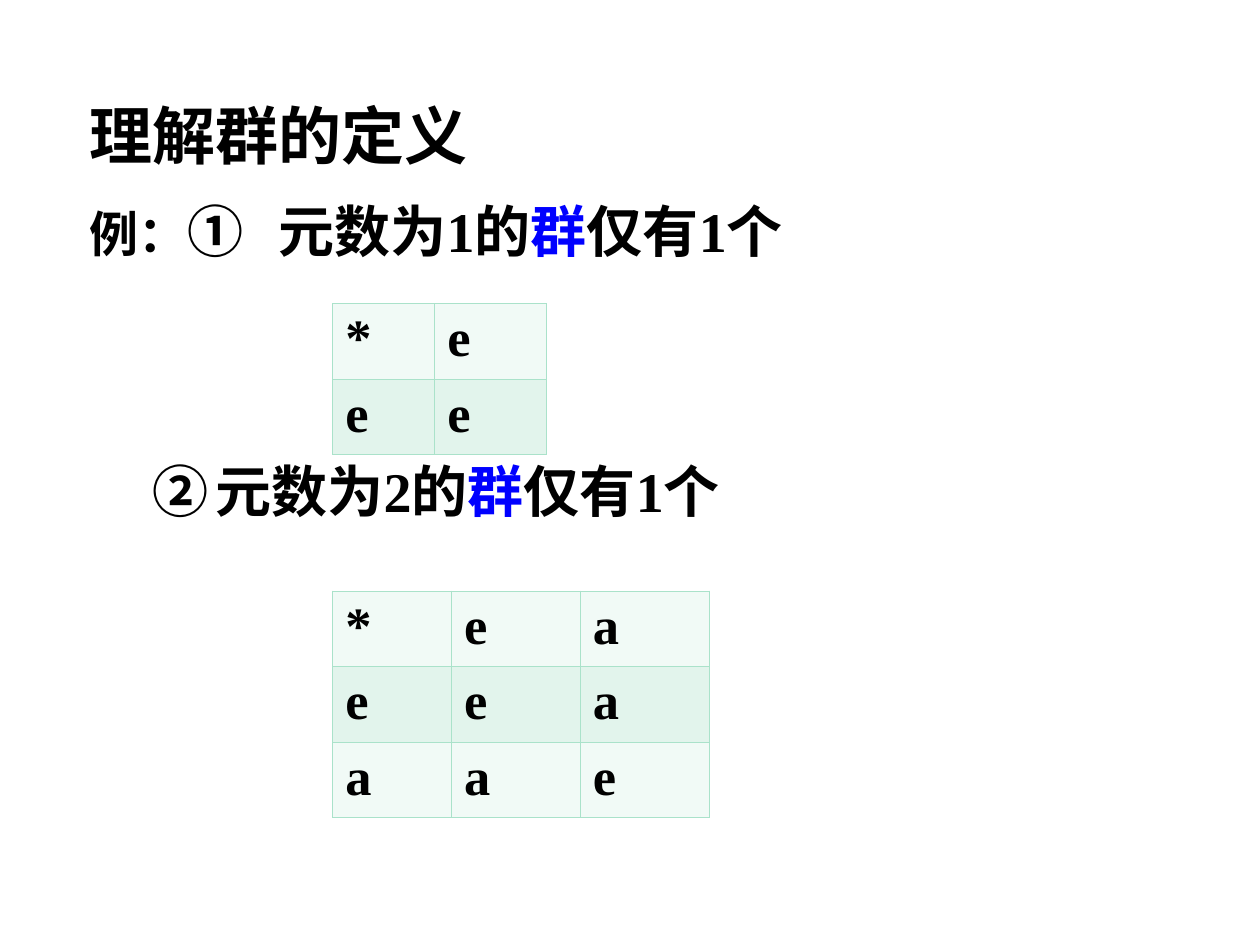
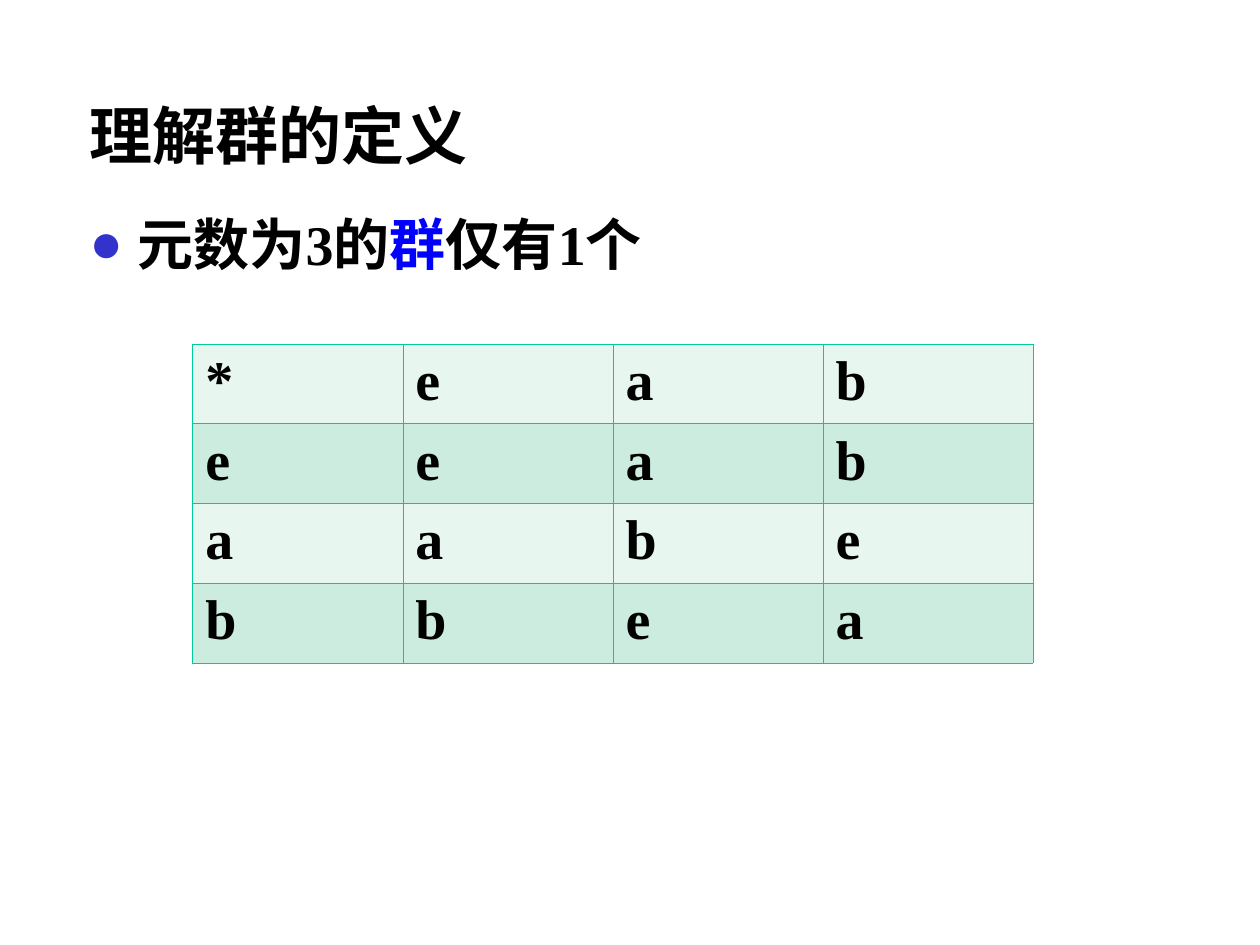
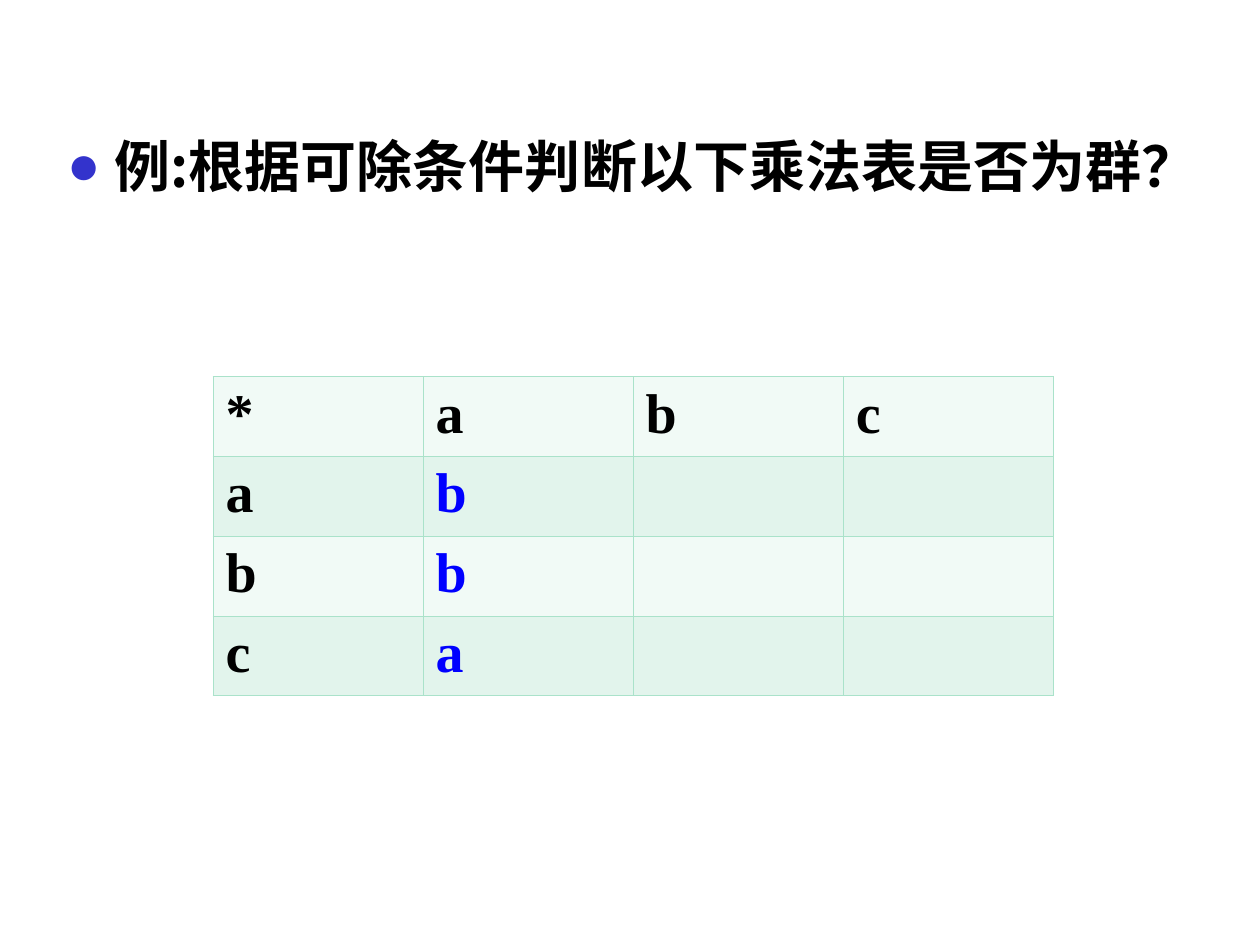
from dataclasses import dataclass

from lxml import etree
from pptx import Presentation
from pptx.dml.color import RGBColor
from pptx.enum.text import MSO_ANCHOR, MSO_AUTO_SIZE, PP_ALIGN
from pptx.oxml.ns import qn
from pptx.util import Emu, Inches, Pt

LEFT = PP_ALIGN.LEFT
TOP, MIDDLE = MSO_ANCHOR.TOP, MSO_ANCHOR.MIDDLE
NO_FIT = MSO_AUTO_SIZE.NONE
TITLE_AND_BODY = 1


@dataclass(frozen=True)
class Theme:
    latin: str = "Times New Roman"
    cjk: str = "Noto Sans CJK SC"
    ink: str = "000000"
    accent: str = "0000FF"
    bullet: str = "3333CC"
    pale: tuple = ("F1FAF6", "E2F4EC", "AAE2CA")
    strong: tuple = ("E7F6EF", "CBECDE", "00CC99")
    title_pt: int = 36
    body_pt: int = 32
    label_pt: int = 28
    small_cell_pt: int = 30
    border_pt: float = 0.45


THEME = Theme()

# Boxes are left, top, width, height in percent of the slide.
TITLE_BOX = (6.1, 7.73, 87.7, 12.93)
BODY_BOX = (6.1, 21.47, 90.8, 66.67)
WIDE_BODY_BOX = (4.3, 13.2, 94.5, 74.93)


def scaled(prs, box):
    sizes = (prs.slide_width, prs.slide_height) * 2
    return [Emu(round(size * share / 100)) for size, share in zip(sizes, box)]


def place(sp, prs, box):
    sp.left, sp.top, sp.width, sp.height = scaled(prs, box)


def add_run(p, text, size, color=THEME.ink, latin=THEME.latin):
    r = p.add_run()
    r.text = text
    r.font.size, r.font.bold, r.font.name = Pt(size), True, latin
    r.font.color.rgb = RGBColor.from_string(color)
    ea = etree.Element(qn("a:ea"), typeface=THEME.cjk)
    r.font._element.find(qn("a:latin")).addnext(ea)


def add_claim(p, lead):
    """Add a sentence in which the word for group is highlighted."""
    add_run(p, lead, THEME.body_pt)
    add_run(p, "群", THEME.body_pt, THEME.accent)
    add_run(p, "仅有1个", THEME.body_pt)


def set_indent(p, margin, first):
    pPr = p._p.get_or_add_pPr()
    pPr.set("marL", str(Inches(margin)))
    pPr.set("indent", str(Inches(first)))
    return pPr


def set_tabbed(p, *stops):
    pPr = set_indent(p, 0, 0)
    etree.SubElement(pPr, qn("a:buNone"))
    tabs = etree.SubElement(pPr, qn("a:tabLst"))
    for stop in stops:
        etree.SubElement(tabs, qn("a:tab"), pos=str(Inches(stop)), algn="l")
    p.line_spacing = 0.8


def set_bullet(p):
    pPr = set_indent(p, 0.38, -0.38)
    color = etree.SubElement(pPr, qn("a:buClr"))
    etree.SubElement(color, qn("a:srgbClr"), val=THEME.bullet)
    etree.SubElement(pPr, qn("a:buChar"), char="●")


def add_slide(prs, title=None, body_box=BODY_BOX):
    """Return a new slide and the text frame of its body."""
    slide = prs.slides.add_slide(prs.slide_layouts[TITLE_AND_BODY])
    sp = slide.shapes.title
    if title:
        place(sp, prs, TITLE_BOX)
        tf = sp.text_frame
        tf.auto_size, tf.vertical_anchor = NO_FIT, MIDDLE
        p = tf.paragraphs[0]
        p.alignment = LEFT
        add_run(p, title, THEME.title_pt, latin=THEME.cjk)
    else:
        sp._element.getparent().remove(sp._element)
    body = slide.placeholders[1]
    place(body, prs, body_box)
    tf = body.text_frame
    tf.auto_size, tf.vertical_anchor, tf.word_wrap = NO_FIT, TOP, True
    tf.paragraphs[0].space_before = Pt(0)
    return slide, tf


def set_borders(cell, color):
    tcPr = cell._tc.get_or_add_tcPr()
    for i, side in enumerate(("lnL", "lnR", "lnT", "lnB")):
        ln = etree.Element(qn(f"a:{side}"), w=str(Pt(THEME.border_pt)))
        fill = etree.SubElement(ln, qn("a:solidFill"))
        etree.SubElement(fill, qn("a:srgbClr"), val=color)
        tcPr.insert(i, ln)


def add_operation_table(prs, slide, box, rows, weights, palette=THEME.pale,
                        size=THEME.body_pt, products=THEME.ink):
    """Add a multiplication table; products colours the cells off the headings."""
    left, top, width, height = scaled(prs, box)
    frame = slide.shapes.add_table(len(rows), len(weights), left, top, width, height)
    table = frame.table
    for column, weight in zip(table.columns, weights):
        column.width = Emu(round(width * weight / sum(weights)))
    *bands, border = palette
    for i, row in enumerate(rows):
        table.rows[i].height = Emu(round(height / len(rows)))
        for j in range(len(weights)):
            cell = table.cell(i, j)
            cell.fill.solid()
            cell.fill.fore_color.rgb = RGBColor.from_string(bands[i % 2])
            set_borders(cell, border)
            if j < len(row):
                color = products if i and j else THEME.ink
                add_run(cell.text_frame.paragraphs[0], row[j], size, color)


def build_orders_one_and_two(prs):
    slide, tf = add_slide(prs, "理解群的定义")
    p = tf.paragraphs[0]
    set_tabbed(p, 1.52)
    add_run(p, "例：", THEME.label_pt)
    add_claim(p, "①\t元数为1的")
    p = tf.add_paragraph()
    set_tabbed(p, 0.7, 1.55)
    p.space_before = Pt(118)
    add_claim(p, "\t②\t元数为2的")
    add_operation_table(prs, slide, (26.4, 32.13, 17, 16), ["*e", "ee"],
                        (0.81, 0.89), size=THEME.small_cell_pt)
    add_operation_table(prs, slide, (26.4, 62.53, 29.9, 24), ["*ea", "eea", "aae"],
                        (0.94, 1.02, 1.02), size=THEME.small_cell_pt)


def build_order_three(prs):
    slide, tf = add_slide(prs, "理解群的定义")
    p = tf.paragraphs[0]
    set_bullet(p)
    add_claim(p, "元数为3的")
    add_operation_table(prs, slide, (15.3, 36.4, 66.7, 33.78),
                        ["*eab", "eeab", "aabe", "bbea"], (1,) * 4, THEME.strong)


def build_exercise(prs):
    slide, tf = add_slide(prs, body_box=WIDE_BODY_BOX)
    p = tf.paragraphs[0]
    set_bullet(p)
    add_run(p, "例:根据可除条件判断以下乘法表是否为群？", THEME.body_pt, latin=THEME.cjk)
    add_operation_table(prs, slide, (16.9, 39.87, 66.7, 33.78),
                        ["*abc", "ab", "bb", "ca"], (1,) * 4, products=THEME.accent)


def main():
    prs = Presentation()
    prs.slide_width, prs.slide_height = Inches(10), Inches(7.5)
    build_orders_one_and_two(prs)
    build_order_three(prs)
    build_exercise(prs)
    prs.save("out.pptx")


if __name__ == "__main__":
    main()
